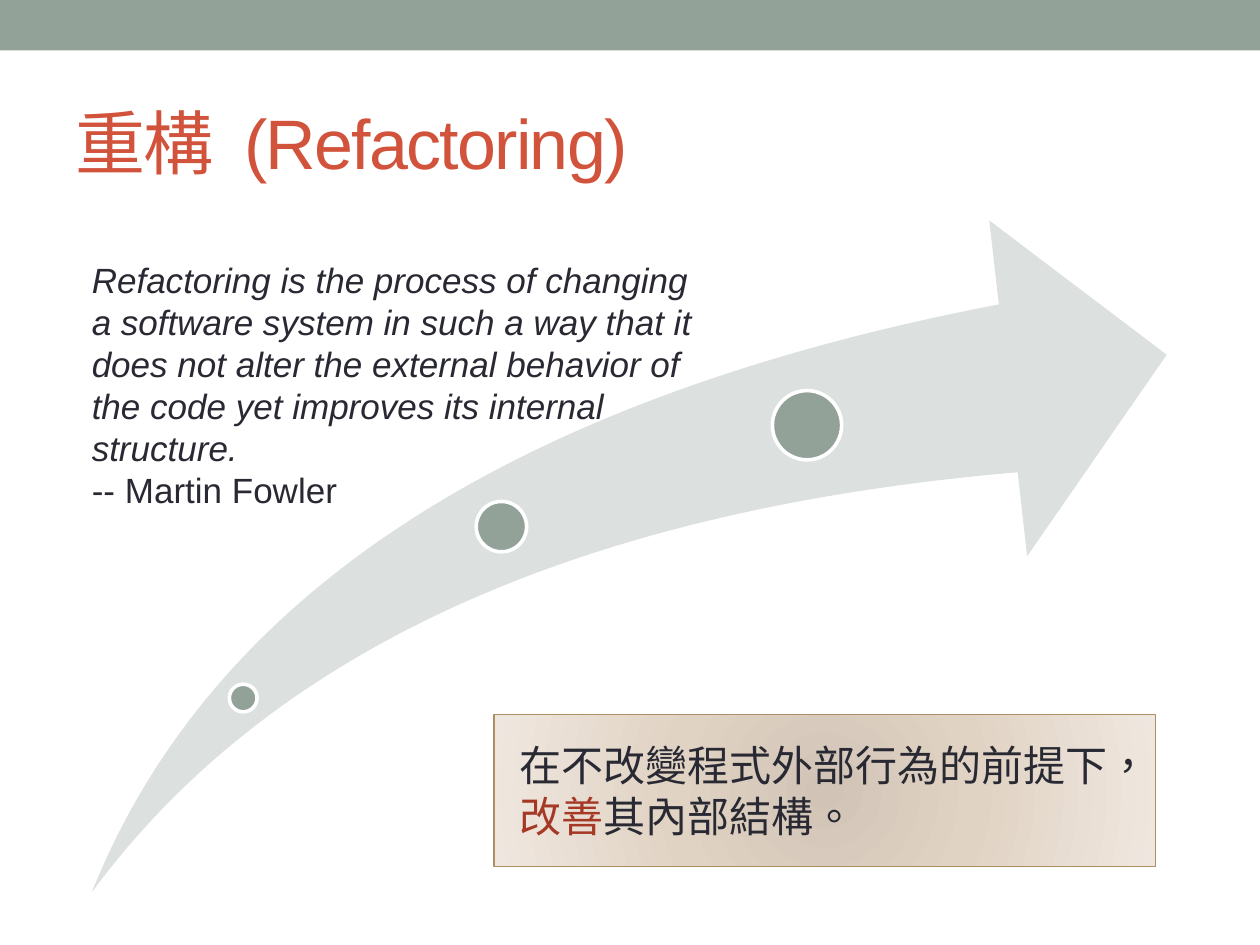
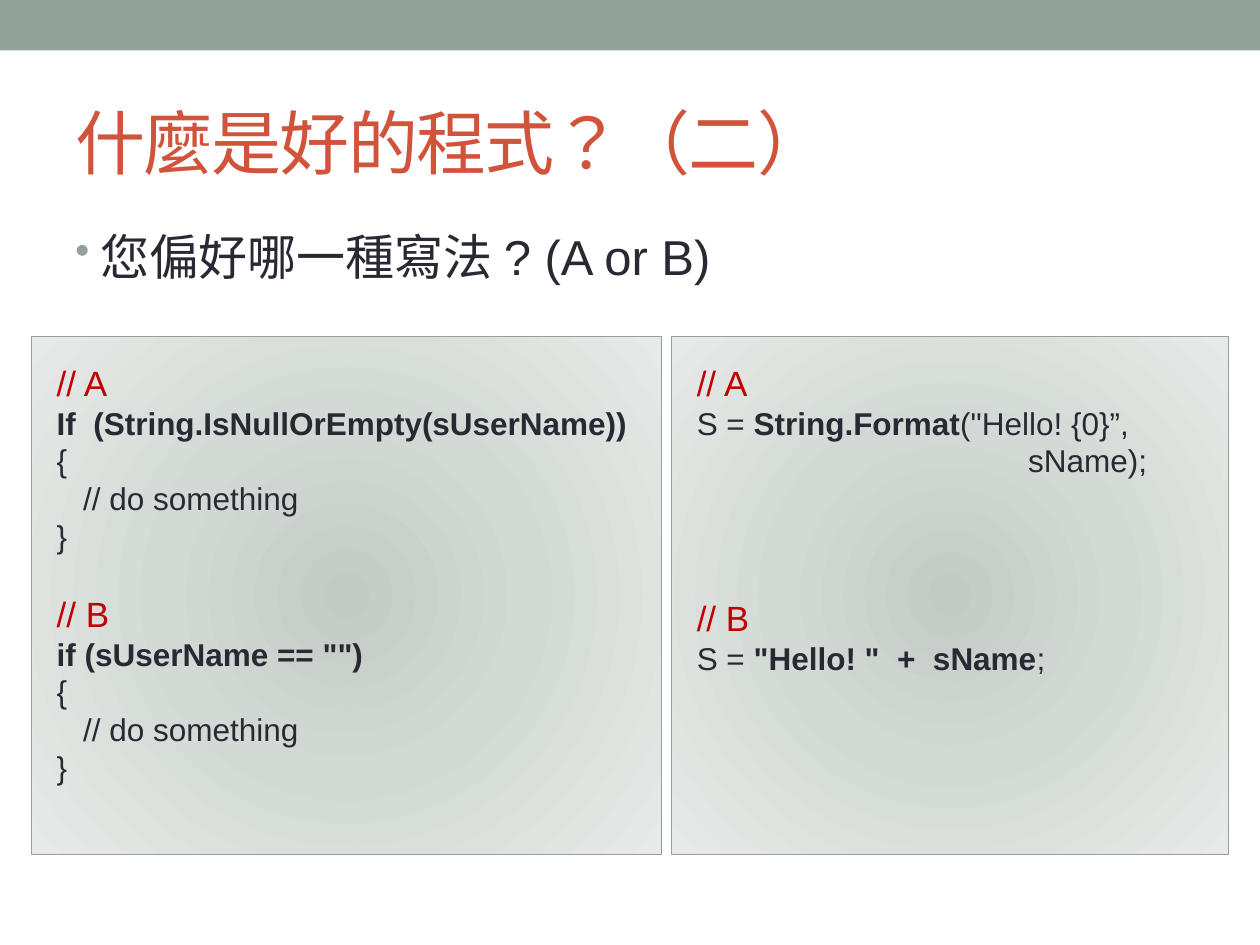
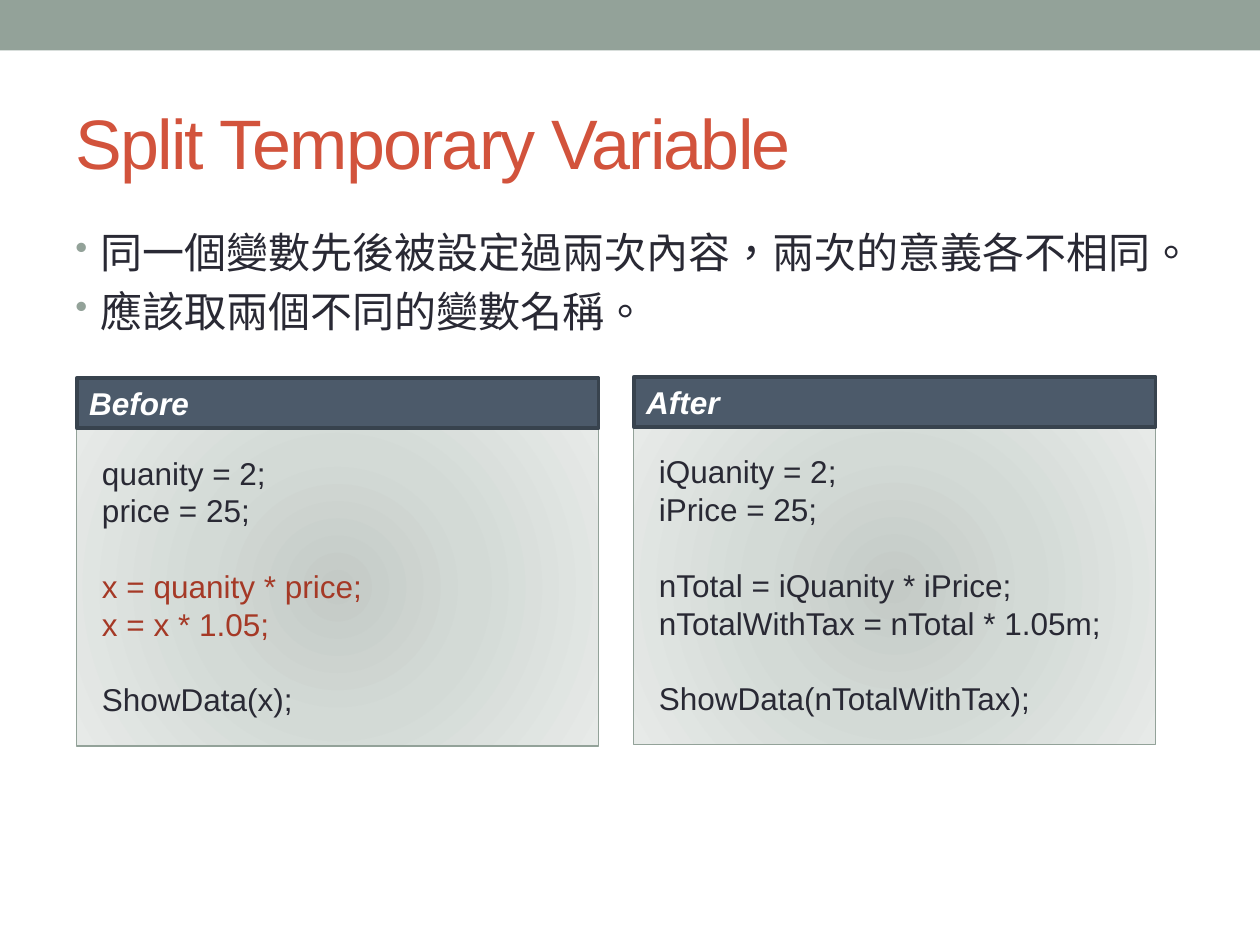
import pptx
import pptx.util
import pptx.dml.color
import pptx.enum.shapes
import pptx.enum.text
import pptx.oxml
import pptx.oxml.ns

Inches = pptx.util.Inches
Pt = pptx.util.Pt
RGBColor = pptx.dml.color.RGBColor
SHAPE = pptx.enum.shapes.MSO_SHAPE
ANCHOR = pptx.enum.text.MSO_ANCHOR
ALIGN = pptx.enum.text.PP_ALIGN
qn = pptx.oxml.ns.qn

FONT = "Arial"
SAGE = RGBColor(0x93, 0xA2, 0x99)
PALE_SAGE = RGBColor(0xDC, 0xE0, 0xDE)
TITLE_RED = RGBColor(0xD2, 0x53, 0x3C)
INK = RGBColor(0x29, 0x29, 0x34)
RUST = RGBColor(0xA5, 0x39, 0x26)
LABEL_RED = RGBColor(0xC0, 0x00, 0x00)
WHITE = RGBColor(0xFF, 0xFF, 0xFF)
SLATE = RGBColor(0x4C, 0x5A, 0x6A)
SLATE_EDGE = RGBColor(0x38, 0x43, 0x4E)
TAN = RGBColor(0xAD, 0x8F, 0x67)
SAGE_GLOW = ("C4CAC6", "D3DAD6", "E7EAE8")
TAN_GLOW = ("D1C4B6", "E1D3C4", "EFE7DF")
BLANK_LINE = 21.6

prs = pptx.Presentation()
prs.slide_width, prs.slide_height = Inches(10), Inches(7.5)


def write(tf, *runs, size=18, color=INK, bold=False, italic=False,
          spacing=None, gap=0, indent=0, bullet=False):
    p = tf.paragraphs[0]
    if p.runs:
        p = tf.add_paragraph()
    p.alignment = ALIGN.LEFT
    p.space_before = Pt(gap)
    pPr = p._p.get_or_add_pPr()
    if indent:
        pPr.set("marL", str(Inches(indent)))
    if bullet:
        pPr.set("indent", str(-Inches(indent)))
        pPr.append(pptx.oxml.parse_xml(
            f'<a:buClr {pptx.oxml.ns.nsdecls("a")}><a:srgbClr val="{SAGE}"/></a:buClr>'))
        for tag, key, value in (("buSzPct", "val", "85000"), ("buChar", "char", "•")):
            pPr.append(pptx.oxml.parse_xml(
                f'<a:{tag} {pptx.oxml.ns.nsdecls("a")} {key}="{value}"/>'))
    for run in runs:
        content, own = (run, {}) if isinstance(run, str) else run
        r = p.add_run()
        r.text = content
        r.font.name = FONT
        r.font.size = Pt(size)
        r.font.bold = own.get("bold", bold)
        r.font.italic = italic
        r.font.color.rgb = own.get("color", color)
        rPr = r._r.get_or_add_rPr()
        rPr.set("lang", "zh-TW")
        if spacing is not None:
            rPr.set("spc", str(round(spacing * 100)))


def add_shape(shapes, kind, x, y, w, h, fill=None, line=None, weight=0.75):
    sp = shapes.add_shape(kind, Inches(x), Inches(y), Inches(w), Inches(h))
    sp.shadow.inherit = False
    if fill is not None:
        sp.fill.solid()
        sp.fill.fore_color.rgb = fill
    if line is None:
        sp.line.fill.background()
    else:
        sp.line.color.rgb = line
        sp.line.width = Pt(weight)
    return sp


def add_text_box(s, x, y, w, h, anchor=ANCHOR.TOP):
    tf = s.shapes.add_textbox(Inches(x), Inches(y), Inches(w), Inches(h)).text_frame
    tf.word_wrap = True
    tf.vertical_anchor = anchor
    return tf


def add_glow_panel(s, x, y, w, h, glow=SAGE_GLOW, line=SAGE):
    sp = add_shape(s.shapes, SHAPE.RECTANGLE, x, y, w, h, line=line)
    stops = "".join(f'<a:gs pos="{pos}"><a:srgbClr val="{tint}"/></a:gs>'
                    for pos, tint in zip((0, 45000, 100000), glow))
    sp._element.spPr.find(qn("a:prstGeom")).addnext(pptx.oxml.parse_xml(
        f'<a:gradFill {pptx.oxml.ns.nsdecls("a")} rotWithShape="1"><a:gsLst>{stops}</a:gsLst>'
        '<a:path path="circle"><a:fillToRect l="100000" t="100000" r="100000" b="100000"/>'
        '</a:path></a:gradFill>'))
    tf = sp.text_frame
    tf.word_wrap = True
    tf.vertical_anchor = ANCHOR.TOP
    tf.margin_left = tf.margin_right = tf.margin_top = tf.margin_bottom = Inches(0.2)
    return tf


def add_slide(title):
    s = prs.slides.add_slide(prs.slide_layouts[6])
    add_shape(s.shapes, SHAPE.RECTANGLE, 0, 0, 10, 0.4, SAGE)
    tf = add_text_box(s, 0.5, 0.58, 9, 1.08, ANCHOR.MIDDLE)
    write(tf, title, size=40, color=TITLE_RED, spacing=-1)
    return s


def add_bullets(s, size, *lines):
    tf = add_text_box(s, 0.5, 1.75, 9, 5.33)
    for line in lines:
        write(tf, line, size=size, gap=size * 0.2, indent=0.2, bullet=True)


def add_growth_arrow(s, x, y, w, h):
    group = s.shapes.add_group_shape()
    arrow = add_shape(group.shapes, SHAPE.SWOOSH_ARROW, x, y, w, h, PALE_SAGE)
    arrow.adjustments[0] = arrow.adjustments[1] = 0.25
    for dx, dy, d in ((1.09, 3.68, 0.22), (3.05, 2.23, 0.4), (5.4, 1.35, 0.55)):
        add_shape(group.shapes, SHAPE.OVAL, x + dx, y + dy, d, d, SAGE, WHITE, 2.08)


def add_code_card(s, x, y, w, h, heading, lines, color=INK):
    header = 0.4
    tf = add_glow_panel(s, x, y + header, w, h - header)
    for i, line in enumerate(lines):
        write(tf, line, color=color if i in (2, 3) else INK,
              gap=BLANK_LINE if i in (2, 4) else 0)
    sp = add_shape(s.shapes, SHAPE.RECTANGLE, x, y, w, header, SLATE, SLATE_EDGE, 2.08)
    sp.text_frame.word_wrap = True
    sp.text_frame.vertical_anchor = ANCHOR.TOP
    write(sp.text_frame, heading, color=WHITE, bold=True, italic=True)


def add_condition_panel(s, x, y, w, h):
    tf = add_glow_panel(s, x, y, w, h)
    tests = (("// A", "If  (String.IsNullOrEmpty(sUserName))", 0),
             ("// B", 'if (sUserName == "")', BLANK_LINE))
    for label, test, gap in tests:
        write(tf, label, size=20, color=LABEL_RED, gap=gap)
        write(tf, test, bold=True)
        write(tf, "{")
        write(tf, "// do something", indent=0.21)
        write(tf, "}")


def add_format_panel(s, x, y, w, h):
    tf = add_glow_panel(s, x, y, w, h)
    strong = {"bold": True}
    write(tf, "// A", size=20, color=LABEL_RED)
    write(tf, "S = ", ("String.Format", strong), '("Hello! {0}”,')
    write(tf, "sName);", indent=2.63)
    write(tf, "// B", size=20, color=LABEL_RED, gap=67.2)
    write(tf, "S = ", ('"Hello! "  +  sName', strong), ";")


def build_definition():
    s = add_slide("重構 (Refactoring)")
    add_growth_arrow(s, 0.73, 1.75, 8.53, 5.33)
    tf = add_glow_panel(s, 3.92, 5.67, 5.25, 1.21, TAN_GLOW, TAN)
    write(tf, "在不改變程式外部行為的前提下，", ("改善", {"color": RUST}),
          "其內部結構。", size=24)
    tf = add_text_box(s, 0.63, 2, 5.12, 2.12)
    write(tf, "Refactoring is the process of changing a software system in such a way "
          "that it does not alter the external behavior of the code yet improves its "
          "internal structure.", size=20, italic=True)
    write(tf, "-- Martin Fowler", size=20)


def build_good_code():
    s = add_slide("什麼是好的程式？（二）")
    add_bullets(s, 28, "您偏好哪一種寫法? (A or B)")
    add_format_panel(s, 5.33, 2.67, 4.42, 4.11)
    add_condition_panel(s, 0.25, 2.67, 5, 4.11)


def build_split_variable():
    s = add_slide("Split Temporary Variable")
    add_bullets(s, 24, "同一個變數先後被設定過兩次內容，兩次的意義各不相同。",
                "應該取兩個不同的變數名稱。")
    add_code_card(s, 0.61, 3, 4.14, 2.92, "Before",
                  ("quanity = 2;", "price = 25;", "x = quanity * price;",
                   "x = x * 1.05;", "ShowData(x);"), RUST)
    add_code_card(s, 5.03, 2.99, 4.14, 2.92, "After",
                  ("iQuanity = 2;", "iPrice = 25;", "nTotal = iQuanity * iPrice;",
                   "nTotalWithTax = nTotal * 1.05m;", "ShowData(nTotalWithTax);"))


build_definition()
build_good_code()
build_split_variable()
prs.save("out.pptx")
